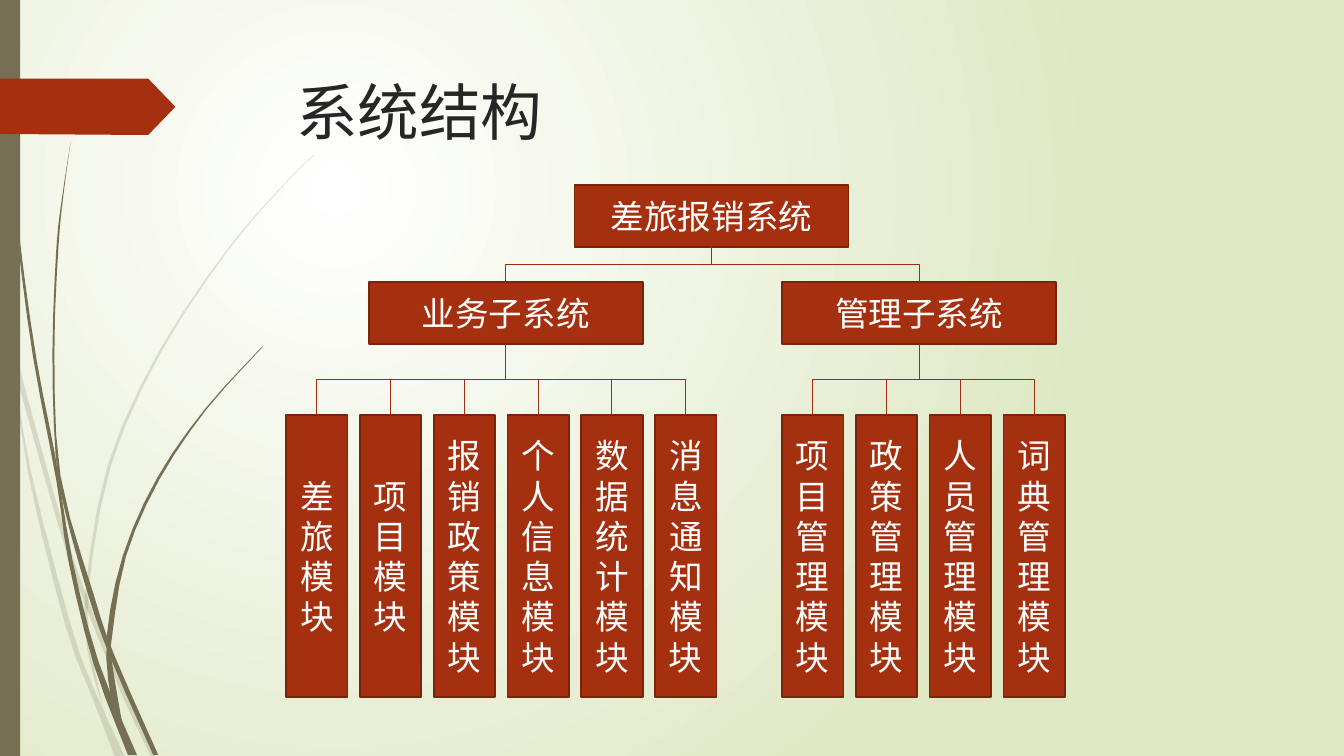
from lxml.etree import SubElement as Sub
from pptx import Presentation as Deck
from pptx.dml.color import RGBColor as Rgb
from pptx.enum.shapes import MSO_CONNECTOR as Link, MSO_SHAPE as Form
from pptx.enum.text import MSO_ANCHOR as Anchor, PP_ALIGN as Align
from pptx.oxml.ns import qn
from pptx.util import Pt

HUES = {"red": "A53010", "edge": "7A240C", "link": "9E2E0F", "olive": "766F54",
        "ink": "262626", "white": "FFFFFF", "lime": "DFE8C4"}
FACE = "TeX Gyre Adventor"
UNIT = 0.72
FINE = 100
STEPS = 3

PALE = [
    ([0, 282, 11, 350, 31, 469, 70, 619, 93, 683, 124, 751],
     [114, 751, 92, 693, 65, 621, 28, 470, 11, 350, 0, 299]),
    ([14, 345, 62, 520, 92, 607, 127, 692, 155, 751],
     [150, 751, 123, 694, 84, 599, 58, 522, 17, 376]),
    ([312, 153, 289, 175, 228, 244, 158, 348, 107, 461, 85, 584, 87, 646, 105, 711],
     [103, 706, 91, 646, 88, 584, 110, 462, 160, 349, 229, 245, 290, 175, 312, 154]),
]
DARK = [
    ([3, 0, 7, 110, 17, 233, 33, 355, 56, 477, 68, 557, 93, 659, 127, 749],
     [136, 749, 98, 657, 72, 556, 55, 453, 36, 355, 19, 232, 8, 109, 4, 0]),
    ([70, 141, 62, 193, 56, 245, 52, 349, 55, 449, 64, 505, 88, 592, 111, 656, 152, 749],
     [157, 749, 113, 649, 93, 590, 60, 472, 54, 349, 58, 245, 63, 193, 70, 141]),
    ([260, 344, 204, 405, 156, 474, 122, 551, 106, 631, 110, 691, 122, 719],
     [121, 716, 111, 656, 111, 633, 125, 552, 158, 476, 205, 406, 261, 344]),
]
TAG = [0, 78, 147, 78, 174, 106, 147, 134, 0, 133]

BOX_W, BOX_H = 195.8, 43.9
LEAF_W, LEAF_H, LEAF_GAP = 43.9, 201.6, 52.7
ROOT_Y, SUB_Y, LEAF_Y = 132.3, 201.6, 296.4
ROOT = ("差旅报销系统", 410.3)
TREE = [
    ("业务子系统", 263.4, 204.4,
     ["差旅模块", "项目模块", "报销政策模块", "个人信息模块", "数据统计模块", "消息通知模块"]),
    ("管理子系统", 558.6, 558.6,
     ["项目管理模块", "政策管理模块", "人员管理模块", "词典管理模块"]),
]


def apply(item, vals):
    for key, val in vals.items():
        setattr(item, key, val)


def hue(name):
    return Rgb.from_string(HUES[name])


def paint(shape, fill, edge=None):
    shape.shadow.inherit = False
    shape.fill.solid()
    shape.fill.fore_color.rgb = hue(fill)
    if edge:
        shape.line.color.rgb = hue(edge)
        shape.line.width = Pt(1.25)
    else:
        shape.line.fill.background()


def write(shape, text, size, tint, anchor, align):
    body = shape.text_frame
    apply(body, {"word_wrap": True, "vertical_anchor": anchor})
    line = body.paragraphs[0]
    line.alignment = align
    run = line.add_run()
    run.text = text
    apply(run.font, {"size": Pt(size), "name": FACE})
    run.font.color.rgb = hue(tint)


def pairs(flat):
    return list(zip(flat[::2], flat[1::2]))


def curve(dots):
    ends = [dots[0], *dots, dots[-1]]
    bend = [dots[0]]
    for a, b, c, d in zip(ends, ends[1:], ends[2:], ends[3:]):
        for step in range(1, STEPS + 1):
            t = step / STEPS
            bend.append(tuple(
                q + t * ((r - p) + t * ((2 * p - 5 * q + 4 * r - s)
                                        + t * (3 * q - p - 3 * r + s))) / 2
                for p, q, r, s in zip(a, b, c, d)))
    return bend


def outline(shapes, dots, fill):
    dots = [(x * FINE, y * FINE) for x, y in dots]
    pen = shapes.build_freeform(*dots[0], scale=Pt(UNIT) / FINE)
    pen.add_line_segments(dots[1:], close=True)
    shape = pen.convert_to_shape()
    paint(shape, fill)
    return shape


def grass(slide, blades, clear=None):
    group = slide.shapes.add_group_shape()
    for out, back in blades:
        dots = curve(pairs(out)) + curve(pairs(back))
        blade = outline(group.shapes, dots, "olive")
        if clear:
            tint = blade._element.spPr.find(qn("a:solidFill"))[0]
            Sub(tint, qn("a:alpha"), val=str(clear * 1000))


def box(slide, text, x, y, w, h):
    shape = slide.shapes.add_shape(Form.RECTANGLE, Pt(x), Pt(y), Pt(w), Pt(h))
    paint(shape, "red", "edge")
    write(shape, text, 24, "white", Anchor.MIDDLE, Align.CENTER)


def link(slide, x1, y1, x2, y2):
    mid_x, mid_y = (x1 + x2) / 2, (y1 + y2) / 2
    half_w, half_h = (y2 - y1) / 2, abs(x2 - x1) / 2
    side = 1 if x2 < x1 else -1
    line = slide.shapes.add_connector(
        Link.ELBOW, Pt(mid_x - side * half_w), Pt(mid_y - half_h),
        Pt(mid_x + side * half_w), Pt(mid_y + half_h))
    line.line.color.rgb = hue("link")
    line.line.width = Pt(0.75)
    props = line._element.spPr
    props.find(qn("a:xfrm")).set("rot", str((90 if side > 0 else 270) * 60000))
    Sub(props, qn("a:effectLst"))


def backdrop(slide):
    fill = slide.background.fill
    fill.gradient()
    for stop, name, place in zip(fill.gradient_stops, ("white", "lime"), (0, 1)):
        stop.color.rgb = hue(name)
        stop.position = place
    grad = slide._element.find(".//" + qn("a:gradFill"))
    grad.remove(grad.find(qn("a:lin")))
    ring = Sub(grad, qn("a:path"), {"path": "circle"})
    Sub(ring, qn("a:fillToRect"), l="50000", t="50000", r="100000", b="100000")


def main():
    deck = Deck()
    apply(deck, {"slide_width": Pt(960), "slide_height": Pt(540)})
    slide = deck.slides.add_slide(deck.slide_layouts[6])
    backdrop(slide)
    grass(slide, PALE, 20)
    grass(slide, DARK)
    bar = slide.shapes.add_shape(Form.RECTANGLE, Pt(0), Pt(0), Pt(14.4), Pt(540))
    paint(bar, "olive")
    outline(slide.shapes, pairs(TAG), "red")
    title = slide.shapes.add_textbox(Pt(204.4), Pt(49), Pt(702), Pt(100.8))
    write(title, "系统结构", 44, "ink", Anchor.TOP, Align.LEFT)

    name, left = ROOT
    box(slide, name, left, ROOT_Y, BOX_W, BOX_H)
    root_x = left + BOX_W / 2
    for name, left, start, leaves in TREE:
        box(slide, name, left, SUB_Y, BOX_W, BOX_H)
        sub_x = left + BOX_W / 2
        link(slide, root_x, ROOT_Y + BOX_H, sub_x, SUB_Y)
        for spot, leaf in enumerate(leaves):
            x = start + spot * LEAF_GAP
            box(slide, leaf, x, LEAF_Y, LEAF_W, LEAF_H)
            link(slide, sub_x, SUB_Y + BOX_H, x + LEAF_W / 2, LEAF_Y)
    deck.save("out.pptx")


if __name__ == "__main__":
    main()
